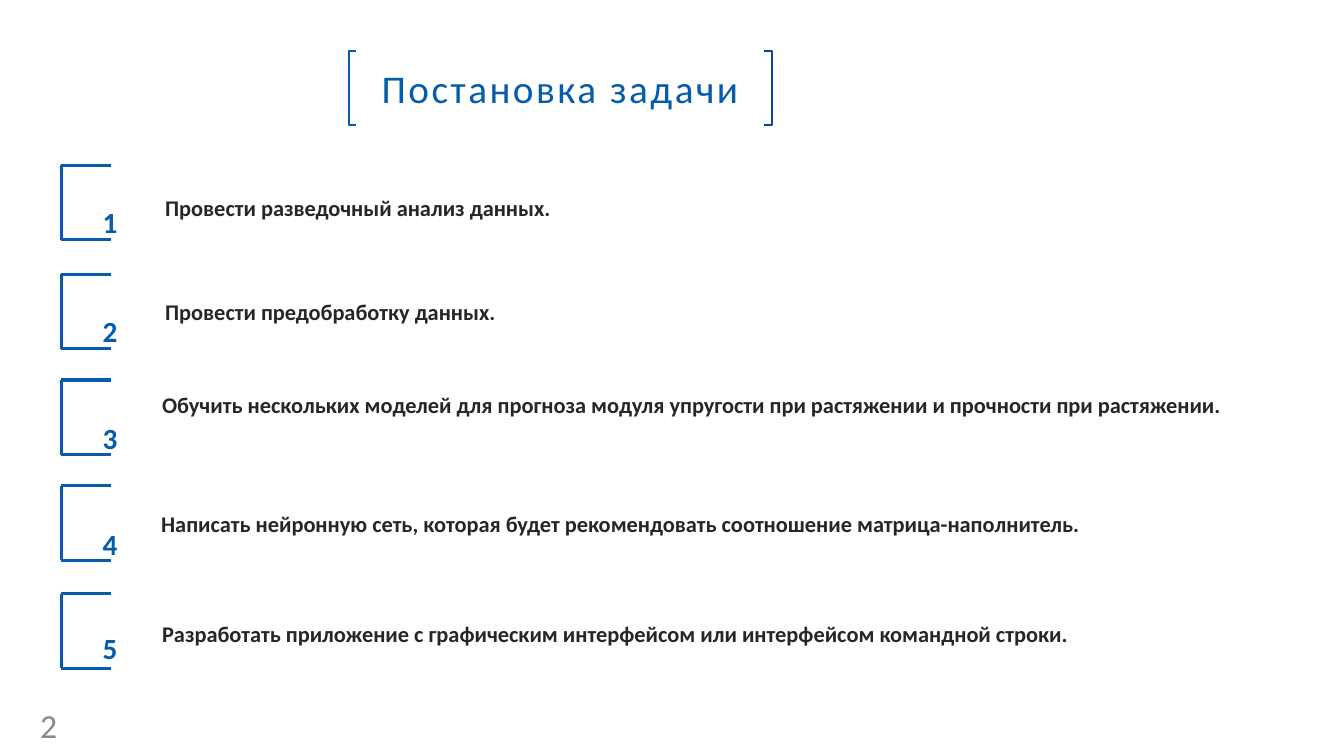
from dataclasses import dataclass

from lxml.etree import SubElement
from pptx import Presentation
from pptx.dml.color import RGBColor
from pptx.enum.shapes import MSO_CONNECTOR
from pptx.enum.text import MSO_ANCHOR, MSO_AUTO_SIZE, PP_ALIGN
from pptx.oxml.ns import qn
from pptx.util import Inches, Pt


@dataclass(frozen=True)
class Theme:
    """Hold the colours, type sizes and line widths of the slide."""
    font: str = "Calibri"
    accent: RGBColor = RGBColor(0x06, 0x5C, 0xAB)
    accent_dark: RGBColor = RGBColor(0x00, 0x46, 0xA2)
    ink: RGBColor = RGBColor(0x26, 0x26, 0x26)
    muted: RGBColor = RGBColor(0x89, 0x89, 0x89)
    paper: RGBColor = RGBColor(0xFF, 0xFF, 0xFF)
    title_size: Pt = Pt(28)
    number_size: Pt = Pt(36)
    task_size: Pt = Pt(16)
    page_size: Pt = Pt(24)
    title_edge: Pt = Pt(2)
    title_bracket: Pt = Pt(1.3)
    task_bracket: Pt = Pt(2.25)


THEME = Theme()
TITLE = "Постановка задачи"
TITLE_LEFT, TITLE_TOP, TITLE_WIDTH, TITLE_HEIGHT = 3.46, 0.51, 4.19, 0.73
BRACKET_LEFT, BRACKET_WIDTH, BRACKET_HEIGHT = 0.61, 0.49, 0.74
TASKS = [
    (1.64, 1.92, (1.54, 1.88, 6.8, 0.37), "Провести разведочный анализ данных."),
    (2.72, 3.0, (1.54, 2.91, 6.8, 0.37), "Провести предобработку данных."),
    (3.77, 4.06, (1.51, 3.83, 10.85, 0.64),
     "Обучить нескольких моделей для прогноза модуля упругости "
     "при растяжении и прочности при растяжении."),
    (4.82, 5.11, (1.5, 5.01, 11.15, 0.37),
     "Написать нейронную сеть, которая будет рекомендовать "
     "соотношение матрица-наполнитель."),
    (5.89, 6.14, (1.51, 6.1, 11.16, 0.37),
     "Разработать приложение с графическим интерфейсом "
     "или интерфейсом командной строки."),
]


def style_run(run, size, color, bold=False):
    """Apply font, size, colour and weight to a run."""
    run.font.name = THEME.font
    run.font.size = size
    run.font.bold = bold
    run.font.color.rgb = color


def add_label(slide, box, text, size, color, bold=False):
    """Add a wrapped text box and return its only run."""
    label = slide.shapes.add_textbox(*map(Inches, box))
    frame = label.text_frame
    frame.text = text
    frame.word_wrap = True
    run = frame.paragraphs[0].runs[0]
    style_run(run, size, color, bold)
    return run, frame


def add_title(slide):
    """Fill and place the title placeholder."""
    title = slide.shapes.title
    title.left, title.top = Inches(TITLE_LEFT), Inches(TITLE_TOP)
    title.width, title.height = Inches(TITLE_WIDTH), Inches(TITLE_HEIGHT)
    title.fill.solid()
    title.fill.fore_color.rgb = THEME.paper
    title.line.color.rgb = THEME.paper
    title.line.width = THEME.title_edge
    frame = title.text_frame
    frame.text = TITLE
    frame.word_wrap = True
    frame.auto_size = MSO_AUTO_SIZE.NONE
    frame.vertical_anchor = MSO_ANCHOR.MIDDLE
    frame.paragraphs[0].alignment = PP_ALIGN.CENTER
    run = frame.paragraphs[0].runs[0]
    style_run(run, THEME.title_size, THEME.accent)
    run.font._element.set("spc", "180")


def add_title_bracket(slide, tip, spine, color):
    """Draw a square bracket from its tips to its spine beside the title."""
    top, bottom = Inches(TITLE_TOP), Inches(TITLE_TOP + TITLE_HEIGHT)
    tip, spine = Inches(tip), Inches(spine)
    builder = slide.shapes.build_freeform(tip, top)
    builder.add_line_segments([(spine, top), (spine, bottom), (tip, bottom)], close=False)
    bracket = builder.convert_to_shape()
    bracket.shadow.inherit = False
    bracket.fill.background()
    bracket.line.color.rgb = color
    bracket.line.width = THEME.title_bracket


def add_line(shapes, start, end):
    """Draw one straight bracket stroke."""
    stroke = shapes.add_connector(MSO_CONNECTOR.STRAIGHT, *map(Inches, start + end))
    stroke.line.color.rgb = THEME.accent
    stroke.line.width = THEME.task_bracket
    SubElement(stroke._element.spPr, qn("a:effectLst"))


def add_task_bracket(slide, top):
    """Draw the grouped open bracket around a task number."""
    strokes = slide.shapes.add_group_shape().shapes
    right, bottom = BRACKET_LEFT + BRACKET_WIDTH, top + BRACKET_HEIGHT
    add_line(strokes, (BRACKET_LEFT, top), (BRACKET_LEFT, bottom))
    for level in (top, bottom):
        add_line(strokes, (BRACKET_LEFT, level), (right, level))


def add_task(slide, number, bracket_top, number_top, box, text):
    """Add a task with its bracket and raised number."""
    add_task_bracket(slide, bracket_top)
    _, task_frame = add_label(slide, box, text, THEME.task_size, THEME.ink, bold=True)
    numeral, number_frame = add_label(slide, (0.92, number_top, 1.18, 0.5), str(number),
                                      THEME.number_size, THEME.accent, bold=True)
    numeral.font._element.set("baseline", "30000")
    for frame in (task_frame, number_frame):
        frame.auto_size = MSO_AUTO_SIZE.SHAPE_TO_FIT_TEXT


def add_page_number(slide):
    """Add the page number in the lower left corner."""
    _, frame = add_label(slide, (0.3, 7.04, 0.62, 0.3), "2", THEME.page_size, THEME.muted)
    frame.vertical_anchor = MSO_ANCHOR.MIDDLE


def main():
    """Build the task slide and save it."""
    deck = Presentation()
    deck.slide_width, deck.slide_height = Inches(13.33), Inches(7.5)
    slide = deck.slides.add_slide(deck.slide_layouts[5])
    add_title(slide)
    add_title_bracket(slide, 3.53, 3.46, THEME.accent)
    add_title_bracket(slide, 7.58, 7.66, THEME.accent_dark)
    add_page_number(slide)
    for number, task in enumerate(TASKS, start=1):
        add_task(slide, number, *task)
    deck.save("out.pptx")


if __name__ == "__main__":
    main()
